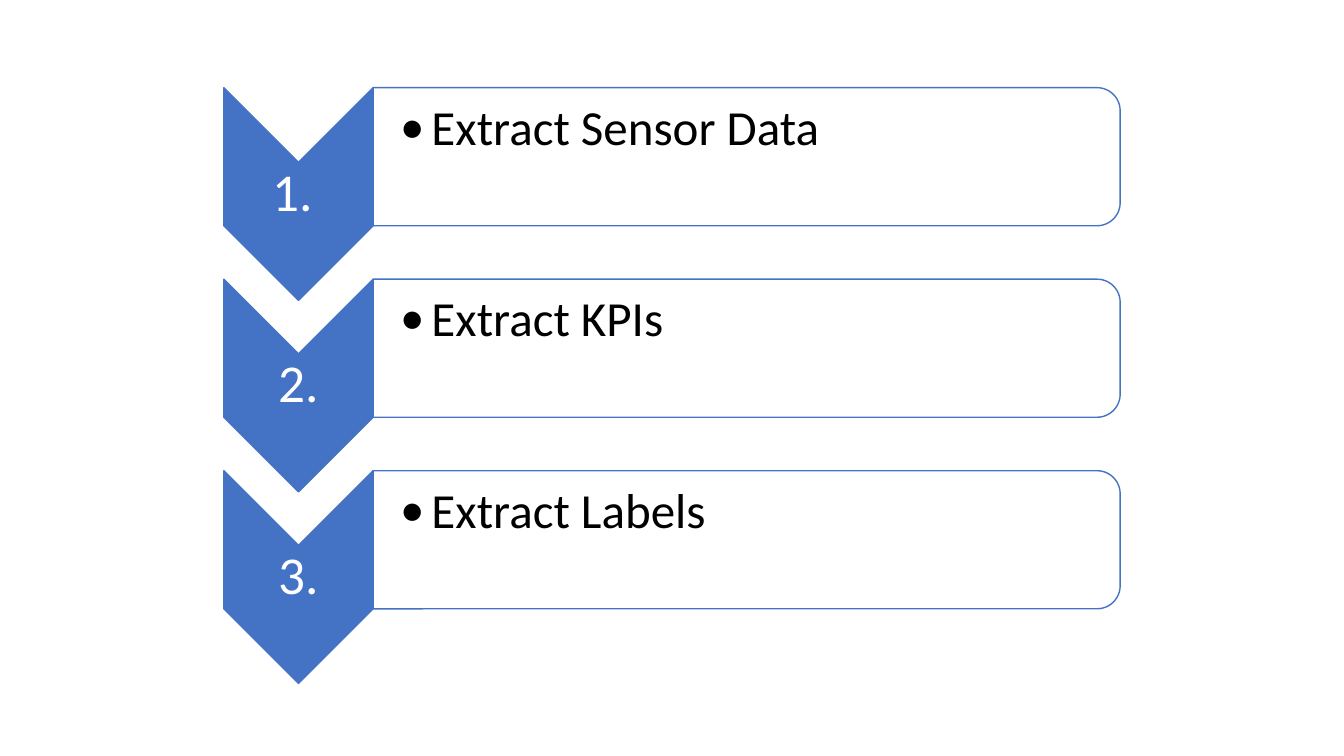
from lxml.etree import SubElement
from pptx import Presentation
from pptx.dml.color import RGBColor
from pptx.enum.shapes import MSO_SHAPE
from pptx.enum.text import MSO_ANCHOR, PP_ALIGN
from pptx.oxml.ns import qn
from pptx.util import Inches, Pt

COLOURS = {"accent": "4472C4", "panel": "FFFFFF", "number": "FFFFFF", "text": "000000"}
FONT = "Calibri"
STEPS = [("1. ", "Extract Sensor Data"), ("2.", "Extract KPIs"), ("3.", "Extract Labels")]

# Grid of the step list, in inches
CHEVRON_LEFT, CHEVRON_WIDTH, CHEVRON_HEIGHT = 2.22, 1.48, 2.11
PANEL_LEFT = CHEVRON_LEFT + CHEVRON_WIDTH
PANEL_WIDTH, PANEL_HEIGHT = 7.41, 1.37
FIRST_ROW, ROW_PITCH = 0.87, 1.9
NOTCH = CHEVRON_WIDTH / 2
BULLET_INDENT = 0.31


def colour(name):
    return RGBColor.from_string(COLOURS[name])


def add_turned_shape(slide, kind, left, top, width, height, fill, opacity=100):
    """Add a shape turned by 90 degrees that covers the given box once turned."""
    shape = slide.shapes.add_shape(
        kind,
        Inches(left + (width - height) / 2), Inches(top + (height - width) / 2),
        Inches(height), Inches(width))
    shape.rotation = 90
    shape.shadow.inherit = False
    shape.fill.solid()
    shape.fill.fore_color.rgb = colour(fill)
    shape.line.color.rgb = colour("accent")
    shape.line.width = Pt(1)
    if opacity < 100:
        fill_colour = shape.fill._xPr.find(qn("a:solidFill"))[0]
        SubElement(fill_colour, qn("a:alpha"), val=str(opacity * 1000))


def add_bullet(paragraph):
    properties = paragraph._p.get_or_add_pPr()
    indent = Inches(BULLET_INDENT)
    properties.set("marL", str(indent))
    properties.set("indent", str(-indent))
    SubElement(properties, qn("a:buFont"), typeface=FONT)
    SubElement(properties, qn("a:buChar"), char="•")


def add_text(slide, text, left, top, width, height, *, size, font_colour,
             margins, anchor=MSO_ANCHOR.MIDDLE, align=PP_ALIGN.LEFT, bullet=False):
    """Add a text box; margins are left, top, right and bottom in inches."""
    box = slide.shapes.add_textbox(Inches(left), Inches(top), Inches(width), Inches(height))
    frame = box.text_frame
    frame.word_wrap = True
    frame.vertical_anchor = anchor
    (frame.margin_left, frame.margin_top,
     frame.margin_right, frame.margin_bottom) = map(Inches, margins)
    paragraph = frame.paragraphs[0]
    paragraph.alignment = align
    paragraph.line_spacing = 0.9
    if bullet:
        add_bullet(paragraph)
    run = paragraph.add_run()
    run.text = text
    run.font.name = FONT
    run.font.size = Pt(size)
    run.font.color.rgb = colour(font_colour)


def add_step(slide, row, number, label):
    top = FIRST_ROW + row * ROW_PITCH
    add_turned_shape(slide, MSO_SHAPE.CHEVRON, CHEVRON_LEFT, top,
                     CHEVRON_WIDTH, CHEVRON_HEIGHT, "accent")
    add_text(slide, number, CHEVRON_LEFT, top + NOTCH, CHEVRON_WIDTH,
             CHEVRON_HEIGHT - 2 * NOTCH, size=38, font_colour="number",
             margins=(0.03, 0.03, 0.03, 0.03), align=PP_ALIGN.CENTER)
    add_turned_shape(slide, MSO_SHAPE.ROUND_2_SAME_RECTANGLE, PANEL_LEFT, top,
                     PANEL_WIDTH, PANEL_HEIGHT, "panel", opacity=90)
    add_text(slide, label, PANEL_LEFT, top + 0.06, PANEL_WIDTH - 0.07,
             PANEL_HEIGHT - 0.13, size=35, font_colour="text",
             margins=(0.27, 0.09, 0.02, 0.02), anchor=MSO_ANCHOR.TOP, bullet=True)


def main():
    presentation = Presentation()
    presentation.slide_width = Inches(13.33)
    presentation.slide_height = Inches(7.5)
    slide = presentation.slides.add_slide(presentation.slide_layouts[6])
    for row, (number, label) in enumerate(STEPS):
        add_step(slide, row, number, label)
    presentation.save("out.pptx")


if __name__ == "__main__":
    main()
